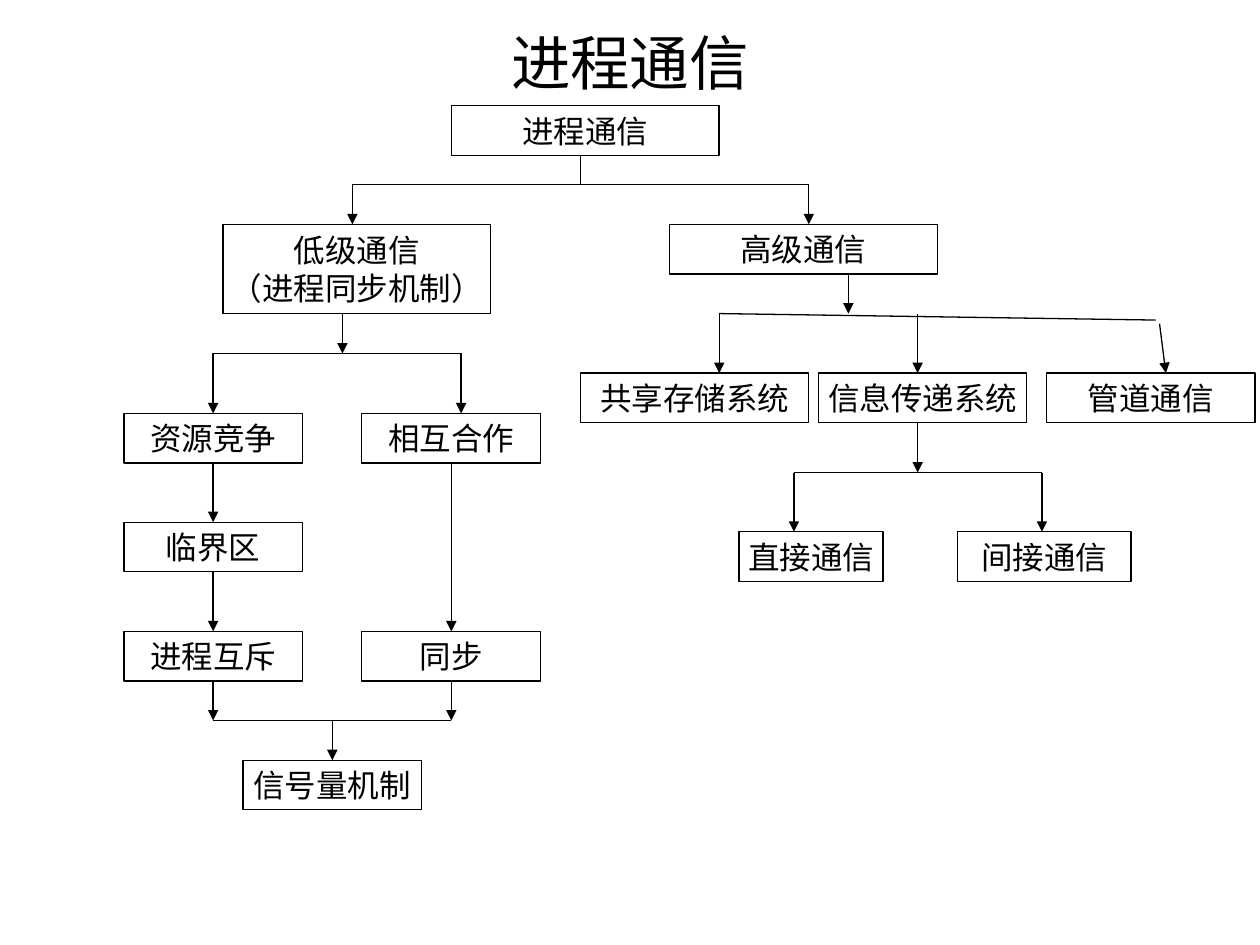
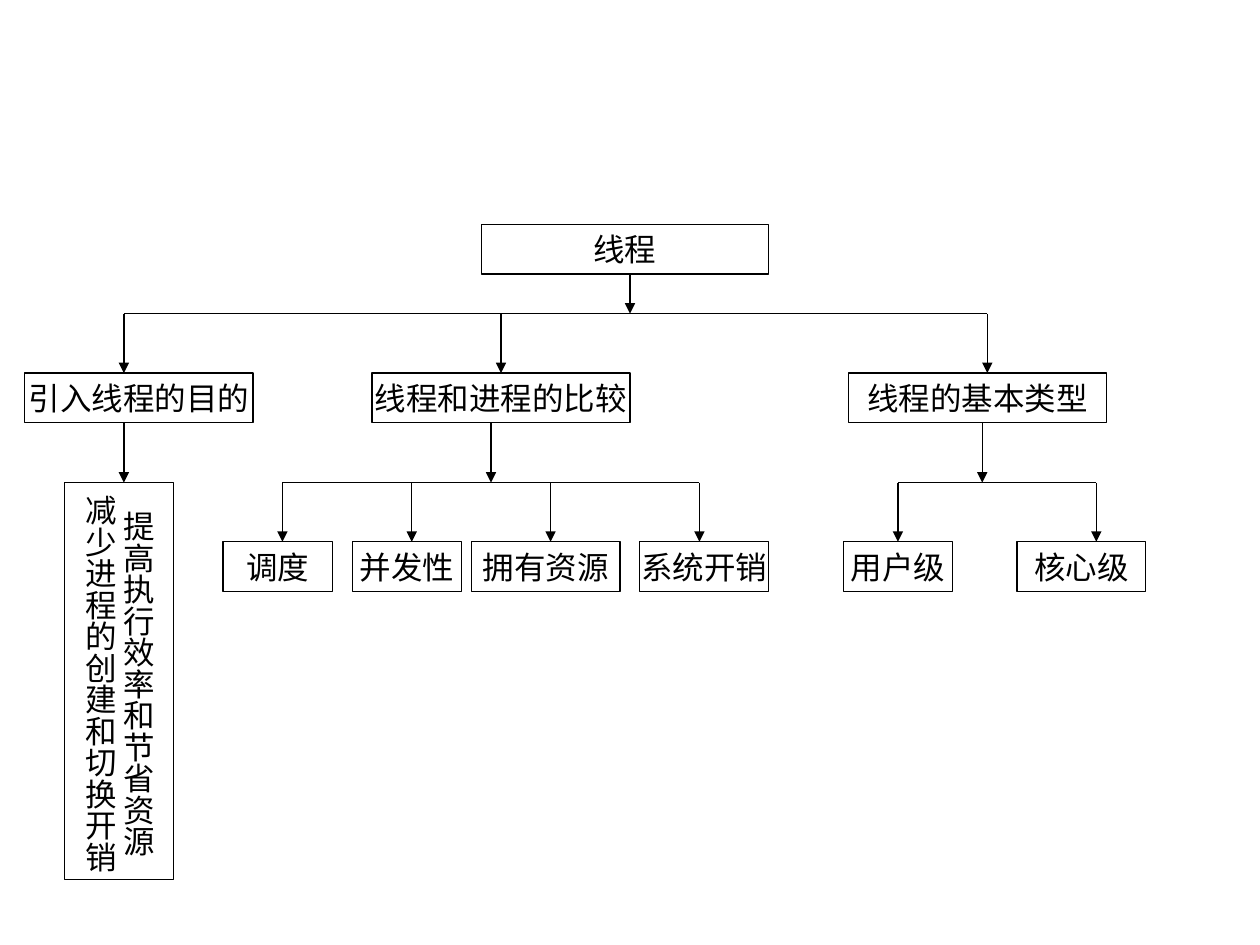
from lxml import etree
from pptx import Presentation
from pptx.dml.color import RGBColor
from pptx.enum.shapes import MSO_CONNECTOR, MSO_SHAPE
from pptx.enum.text import MSO_ANCHOR, PP_ALIGN
from pptx.oxml.ns import qn
from pptx.util import Pt

RECTANGLE = MSO_SHAPE.RECTANGLE
STRAIGHT = MSO_CONNECTOR.STRAIGHT
MIDDLE = MSO_ANCHOR.MIDDLE
CENTER = PP_ALIGN.CENTER

COLORS = {"ink": "000000", "paper": "FFFFFF"}
INK = RGBColor.from_string(COLORS["ink"])
PAPER = RGBColor.from_string(COLORS["paper"])
TITLE_FONT = {"name": "Calibri", "size": Pt(34)}
LABEL_FONT = {"name": "Arial", "size": Pt(18)}
LINE_WIDTH = 0.75
ROW_HEIGHT = 28.35
TITLE_PLACE = (36, 21.6, 648, 27.4)

# rows: top, height, boxes of (label, left, width); a line break starts a paragraph
# branches: parent, stem x, bar y, arrow on the stem, bar end (None: level bar),
#           drops of (child, x)
# links: parent, child, x
# merges: bar y, parents of (label, x), child, x
# loose arrows: start, end
PAGES = [
    {
        "title": "进程通信",
        "rows": [
            (60.5, ROW_HEIGHT, [("进程通信", 257.9, 153)]),
            (128.2, 51.1, [("低级通信\n（进程同步机制）", 127.4, 153)]),
            (128.2, ROW_HEIGHT, [("高级通信", 382.6, 153)]),
            (213.2, ROW_HEIGHT, [("共享存储系统", 331.8, 130.4),
                                 ("信息传递系统", 467.8, 119),
                                 ("管道通信", 598.2, 119)]),
            (236.2, ROW_HEIGHT, [("资源竞争", 70.8, 102), ("相互合作", 206.8, 102)]),
            (298.4, ROW_HEIGHT, [("临界区", 70.8, 102)]),
            (303.9, ROW_HEIGHT, [("直接通信", 422.4, 82.2), ("间接通信", 547.2, 99.2)]),
            (360.8, ROW_HEIGHT, [("进程互斥", 70.8, 102), ("同步", 206.8, 102)]),
            (434.4, ROW_HEIGHT, [("信号量机制", 138.8, 102)]),
        ],
        "branches": [
            ("进程通信", 331.8, 105.6, False, None,
             [("低级通信", 201.4), ("高级通信", 462.2)]),
            ("低级通信", 195.7, 202, True, None,
             [("资源竞争", 121.8), ("相互合作", 263.5)]),
            ("高级通信", 484.8, 179.2, True, (660.4, 182.9),
             [("共享存储系统", 411), ("信息传递系统", 524.4)]),
            ("信息传递系统", 524.4, 270, True, None,
             [("直接通信", 453.7), ("间接通信", 595.4)]),
        ],
        "links": [("资源竞争", "临界区", 121.8),
                  ("临界区", "进程互斥", 121.8),
                  ("相互合作", "同步", 257.9)],
        "merges": [(411.7, [("进程互斥", 121.8), ("同步", 257.9)],
                    "信号量机制", 189.9)],
        "loose arrows": [((662.6, 185), (666.2, 213.2))],
    },
    {
        "rows": [
            (128.2, ROW_HEIGHT, [("线程", 275, 164.2)]),
            (213.2, ROW_HEIGHT, [("引入线程的目的", 14.1, 130.5),
                                 ("线程和进程的比较", 212.6, 147.4),
                                 ("线程的基本类型", 484.8, 147.4)]),
            (309.6, ROW_HEIGHT, [("调度", 127.4, 62.5), ("并发性", 201.4, 62.5),
                                 ("拥有资源", 269.3, 85), ("系统开销", 365.6, 73.6),
                                 ("用户级", 481.9, 62.5), ("核心级", 581.2, 73.6)]),
        ],
        "column": (275.8, 226.8,
                   [("提高执行效率和节省资源\n减少进程的创建和切换开销", 36.8, 62.4)]),
        "branches": [
            ("线程", 360, 179.2, True, None,
             [("引入线程的目的", 70.8), ("线程和进程的比较", 286.3),
              ("线程的基本类型", 564.2)]),
            ("线程和进程的比较", 280.6, 275.8, True, None,
             [("调度", 161.4), ("并发性", 235.3),
              ("拥有资源", 314.6), ("系统开销", 399.7)]),
            ("线程的基本类型", 561.3, 275.8, True, None,
             [("用户级", 513.1), ("核心级", 626.5)]),
        ],
        "links": [("引入线程的目的", "提高执行效率和节省资源", 70.8)],
    },
]


def write_text(box, text, font_format, insets, wrap):
    frame = box.text_frame
    side, edge = insets
    settings = {"word_wrap": wrap, "vertical_anchor": MIDDLE,
                "margin_left": Pt(side), "margin_right": Pt(side),
                "margin_top": Pt(edge), "margin_bottom": Pt(edge)}
    for name, value in settings.items():
        setattr(frame, name, value)
    for index, words in enumerate(text.split("\n")):
        para = frame.add_paragraph() if index else frame.paragraphs[0]
        para.alignment = CENTER
        span = para.add_run()
        span.text = words
        for name, value in font_format.items():
            setattr(span.font, name, value)
        span.font.color.rgb = INK


def add_row(page, row, spans, upright=False):
    """Draw the boxes of a row and note the top and bottom of each."""
    top, height, boxes = row
    for label, left, width in boxes:
        box = page.shapes.add_shape(RECTANGLE, Pt(left), Pt(top), Pt(width), Pt(height))
        box.shadow.inherit = False
        box.fill.background()
        box.line.color.rgb = INK
        box.line.width = Pt(LINE_WIDTH)
        insets = (3.6, 7.2) if upright else (7.2, 3.6)
        write_text(box, label, LABEL_FONT, insets, False)
        if upright:
            box.element.txBody.bodyPr.set("vert", "eaVert")
        spans[label.split("\n")[0]] = (top, top + height)


def add_line(page, start, end, arrow=False):
    connector = page.shapes.add_connector(STRAIGHT, *map(Pt, start + end))
    connector.line.color.rgb = INK
    connector.line.width = Pt(LINE_WIDTH)
    if arrow:
        etree.SubElement(connector.line._get_or_add_ln(), qn("a:tailEnd"), type="triangle")
    etree.SubElement(connector.element.spPr, qn("a:effectLst"))


def add_page(deck, content):
    page = deck.slides.add_slide(deck.slide_layouts[6])
    page.background.fill.solid()
    page.background.fill.fore_color.rgb = PAPER
    spans = {}

    # Title and boxes
    if "title" in content:
        title = page.shapes.add_textbox(*map(Pt, TITLE_PLACE))
        write_text(title, content["title"], TITLE_FONT, (0, 0), True)
    for row in content["rows"]:
        add_row(page, row, spans)
    if "column" in content:
        add_row(page, content["column"], spans, upright=True)

    # Branches: stem, bar, drops
    for parent, stem, bar, stem_arrow, bar_end, drops in content["branches"]:
        add_line(page, (stem, spans[parent][1]), (stem, bar), stem_arrow)
        add_line(page, (drops[0][1], bar), bar_end or (drops[-1][1], bar))
        for child, x in drops:
            add_line(page, (x, bar), (x, spans[child][0]), True)

    # Single links, merges and loose arrows
    for parent, child, x in content["links"]:
        add_line(page, (x, spans[parent][1]), (x, spans[child][0]), True)
    for bar, parents, child, stem in content.get("merges", []):
        add_line(page, (parents[0][1], bar), (parents[-1][1], bar))
        for parent, x in parents:
            add_line(page, (x, spans[parent][1]), (x, bar), True)
        add_line(page, (stem, bar), (stem, spans[child][0]), True)
    for start, end in content.get("loose arrows", []):
        add_line(page, start, end, True)


def main():
    deck = Presentation()
    deck.slide_width, deck.slide_height = Pt(720), Pt(540)
    for content in PAGES:
        add_page(deck, content)
    deck.save("out.pptx")


if __name__ == "__main__":
    main()
